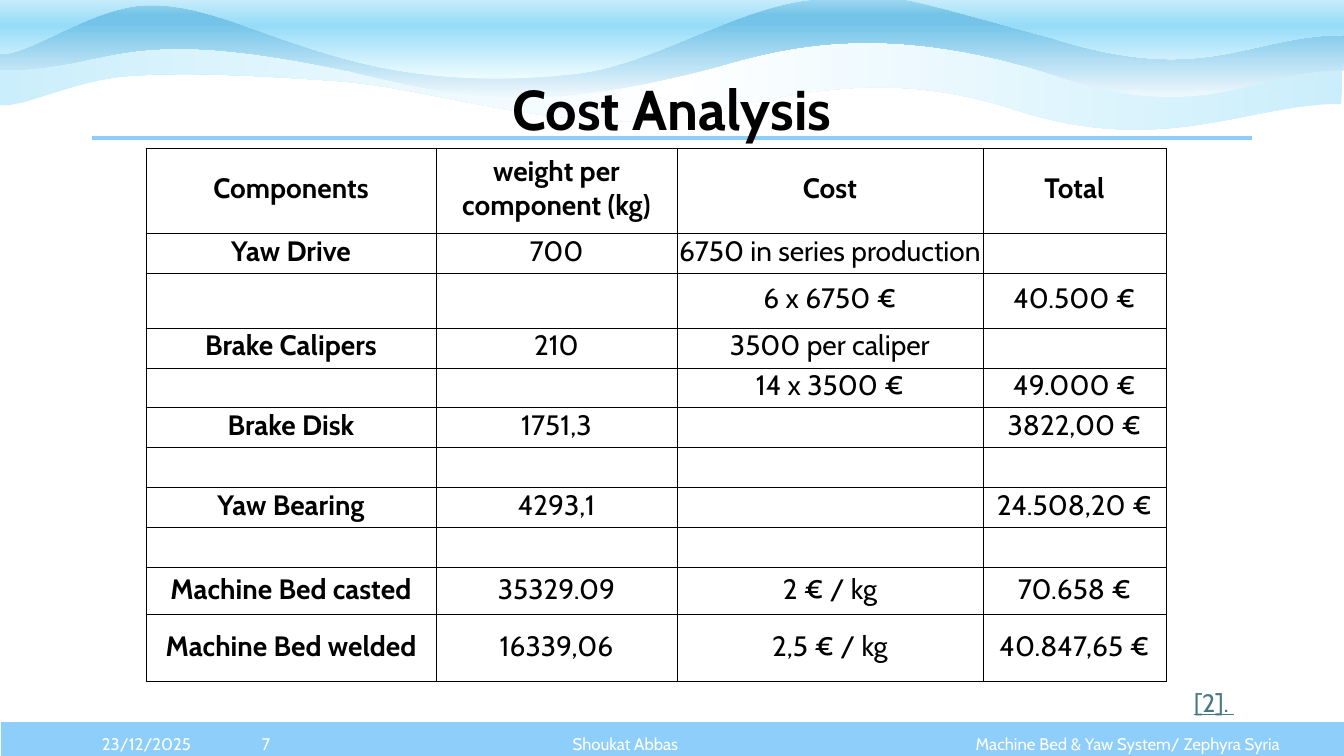
from lxml import etree
from pptx import Presentation
from pptx import util as u
from pptx.dml.color import RGBColor
from pptx.enum import shapes, text
from pptx.oxml.ns import qn

PX = 914400 / 100.8
PAGE_W, PAGE_H = 1344, 756
FONT = "Cabin"
BLACK = RGBColor(0x00, 0x00, 0x00)
WHITE = RGBColor(0xFF, 0xFF, 0xFF)
SKY = RGBColor(0x8E, 0xCE, 0xFA)
LINK = RGBColor(0x46, 0x78, 0x86)
ICE = RGBColor(0xCA, 0xEE, 0xFB)
MIST = RGBColor(0xF0, 0xF8, 0xFD)
AZURE = RGBColor(0x74, 0xC4, 0xE9)
PALE_BLUE = RGBColor(0xA2, 0xD8, 0xF0)
FROST = RGBColor(0xEF, 0xFC, 0xFF)
CYAN = RGBColor(0x96, 0xDC, 0xF8)

# Each wave: box, start point, cubic curves (lower edge, then left side),
# corners of the upper edge, last curve up the right side, stops and angle.
WAVES = [
    ((-4, 30, 1347, 99), (1341, 104),
     [((1247, 103), (1161, 160), (1007, 107)), ((834, 54), (727, 125), (615, 121)),
      ((503, 117), (424, 88), (338, 81)), ((251, 75), (184, 72), (128, 76)),
      ((72, 80), (14, 112), (-2, 104)), ((-2, 81), (-4, 53), (-4, 30))],
     [(316, 31), (657, 34), (949, 32), (1343, 34)],
     ((1343, 55), (1343, 81), (1341, 104)),
     [(0, ICE), (50, WHITE), (100, ICE)], 0),
    ((0, -2, 1344, 99), (1343, 70),
     [((1249, 70), (1206, 128), (1052, 74)), ((878, 19), (779, 49), (712, 68)),
      ((532, 115), (463, 98), (349, 71)), ((114, 21), (116, 70), (0, 70)),
      ((0, 46), (1, 23), (1, -1))],
     [(316, 0), (659, -2), (954, -1), (1344, 3)],
     ((1344, 25), (1344, 46), (1343, 70)),
     [(0, MIST), (74, AZURE), (83, AZURE), (100, PALE_BLUE)], 90),
    ((-3, -28, 1347, 107), (1343, 35),
     [((1249, 35), (1206, 87), (1052, 38)), ((879, -9), (897, -7), (819, -1)),
      ((741, 4), (658, 62), (581, 73)), ((502, 83), (427, 80), (350, 60)),
      ((260, 36), (209, 5), (151, 5)), ((93, 4), (22, 61), (-3, 53)),
      ((-2, 32), (1, -6), (1, -27))],
     [(316, -26), (659, -28), (954, -27), (1344, -24)],
     ((1344, -4), (1344, 14), (1343, 35)),
     [(0, FROST), (50, CYAN), (100, WHITE)], 90),
]

COLUMN_WIDTHS = [290, 241, 306, 183]
ROW_HEIGHTS = [85, 40, 55] + [40] * 6 + [47, 67]
COSTS = [
    ["Components", "weight per component (kg)", "Cost", "Total"],
    ["Yaw Drive", "700", "6750 in series production", ""],
    ["", "", "6 x 6750 €", "40.500 €"],
    ["Brake Calipers", "210", "3500 per caliper", ""],
    ["", "", "14 x 3500 €", "49.000 €"],
    ["Brake Disk", "1751,3", "", "3822,00 €"],
    ["", "", "", ""],
    ["Yaw Bearing", "4293,1", "", "24.508,20 €"],
    ["", "", "", ""],
    ["Machine Bed casted", "35329.09", "2 € / kg", "70.658 €"],
    ["Machine Bed welded", "16339,06", "2,5 € / kg", "40.847,65 €"],
]


def px(length):
    return u.Emu(round(length * PX))


def add_span(para, words, size, color, bold=False, underline=False):
    span = para.add_run()
    span.text = words
    span.font.name = FONT
    span.font.size = u.Pt(size)
    span.font.color.rgb = color
    span.font.bold = bold
    span.font.underline = underline


def add_label(page, box, words, size, color, align=text.PP_ALIGN.LEFT,
              anchor=text.MSO_ANCHOR.MIDDLE, spacing=None, **style):
    frame = page.shapes.add_textbox(*map(px, box)).text_frame
    frame.word_wrap = True
    frame.vertical_anchor = anchor
    para = frame.paragraphs[0]
    para.alignment = align
    para.line_spacing = spacing
    add_span(para, words, size, color, **style)


def set_gradient(shape, stops, angle):
    shape.fill.gradient()
    gradient = shape._element.spPr.find(qn("a:gradFill"))
    for child in list(gradient):
        gradient.remove(child)
    gradient.set("rotWithShape", "1")
    stop_list = etree.SubElement(gradient, qn("a:gsLst"))
    for position, color in stops:
        stop = etree.SubElement(stop_list, qn("a:gs"), pos=str(position * 1000))
        etree.SubElement(stop, qn("a:srgbClr"), val=str(color))
    etree.SubElement(gradient, qn("a:lin"), ang=str(angle * 60000), scaled="0")


def set_outline(shape, box, commands):
    """Give the freeform curved segments, turned by half a turn in its box."""
    left, top, width, height = box
    outline = next(shape._element.iter(qn("a:path")))
    for child in list(outline):
        outline.remove(child)
    for tag, points in commands:
        command = etree.SubElement(outline, qn(tag))
        for x, y in points:
            etree.SubElement(command, qn("a:pt"), x=str(px(left + width - x)),
                             y=str(px(top + height - y)))
    etree.SubElement(outline, qn("a:close"))


def add_waves(page):
    for box, start, curves, upper_edge, last_curve, stops, angle in WAVES:
        left, top, width, height = box
        right, bottom = left + width, top + height
        builder = page.shapes.build_freeform(px(left), px(top), scale=1.0)
        builder.add_line_segments([(px(right), px(top)), (px(right), px(bottom)),
                                   (px(left), px(bottom))], close=True)
        wave = builder.convert_to_shape()
        set_outline(wave, box, [
            ("a:moveTo", [start]),
            *(("a:cubicBezTo", curve) for curve in curves),
            *(("a:lnTo", [corner]) for corner in upper_edge),
            ("a:cubicBezTo", last_curve)])
        wave.rotation = 180
        wave.shadow.inherit = False
        wave.line.fill.background()
        set_gradient(wave, stops, angle)


def add_heading(page, left, top, width, height):
    rule_y = px(top + 99)
    rule = page.shapes.add_connector(
        shapes.MSO_CONNECTOR.STRAIGHT, px(left), rule_y, px(left + width), rule_y)
    rule.line.color.rgb = SKY
    rule.line.width = u.Pt(3)
    etree.SubElement(rule._element.spPr, qn("a:effectLst"))
    add_label(page, (left, top, width, height), "Cost Analysis", 40, BLACK,
              text.PP_ALIGN.CENTER, spacing=0.9, bold=True)


def add_footer(page, left, top, width, height):
    band = page.shapes.add_shape(
        shapes.MSO_SHAPE.RECTANGLE, *map(px, (left, top, width, height)))
    band.shadow.inherit = False
    band.fill.solid()
    band.fill.fore_color.rgb = SKY
    band.line.color.rgb = WHITE
    band.line.width = u.Pt(1.5)
    align = text.PP_ALIGN
    for x, label_width, words, side in [
            (92, 123, "23/12/2025", align.LEFT),
            (215, 102, "7", align.CENTER),
            (317, 617, "Shoukat Abbas", align.CENTER),
            (934, 356, "Machine Bed & Yaw System/ Zephyra Syria", align.RIGHT)]:
        add_label(page, (left + x, top + 3, label_width, height), words, 12, WHITE, side)


def style_cell(cell):
    cell.fill.background()
    cell.vertical_anchor = text.MSO_ANCHOR.MIDDLE
    cell.margin_left = cell.margin_right = cell.margin_top = px(1)
    cell.margin_bottom = px(5)
    properties = cell._tc.get_or_add_tcPr()
    for index, side in enumerate(("a:lnL", "a:lnR", "a:lnT", "a:lnB")):
        border = etree.Element(qn(side), w=str(u.Pt(0.5)))
        fill = etree.SubElement(border, qn("a:solidFill"))
        etree.SubElement(fill, qn("a:srgbClr"), val=str(BLACK))
        properties.insert(index, border)


def add_cost_table(page, left, top):
    table = page.shapes.add_table(
        len(COSTS), len(COLUMN_WIDTHS), px(left), px(top),
        px(sum(COLUMN_WIDTHS)), px(sum(ROW_HEIGHTS))).table
    table.first_row = table.horz_banding = False
    for column, width in zip(table.columns, COLUMN_WIDTHS):
        column.width = px(width)
    for row, height in zip(table.rows, ROW_HEIGHTS):
        row.height = px(height)
    for r, entries in enumerate(COSTS):
        for c, words in enumerate(entries):
            cell = table.cell(r, c)
            style_cell(cell)
            if words:
                para = cell.text_frame.paragraphs[0]
                para.alignment = text.PP_ALIGN.CENTER
                add_span(para, words, 20, BLACK, bold=r == 0 or c == 0)


def main():
    deck = Presentation()
    deck.slide_width, deck.slide_height = px(PAGE_W), px(PAGE_H)
    page = deck.slides.add_slide(deck.slide_layouts[6])
    add_waves(page)
    add_heading(page, 92, 39, 1160, 146)
    add_footer(page, 0, 721, 1346, 40)
    add_cost_table(page, 146, 148)
    add_label(page, (1184, 682, 62, 40), "[2]. ", 18, LINK,
              anchor=text.MSO_ANCHOR.TOP, underline=True)
    deck.save("out.pptx")


if __name__ == "__main__":
    main()
